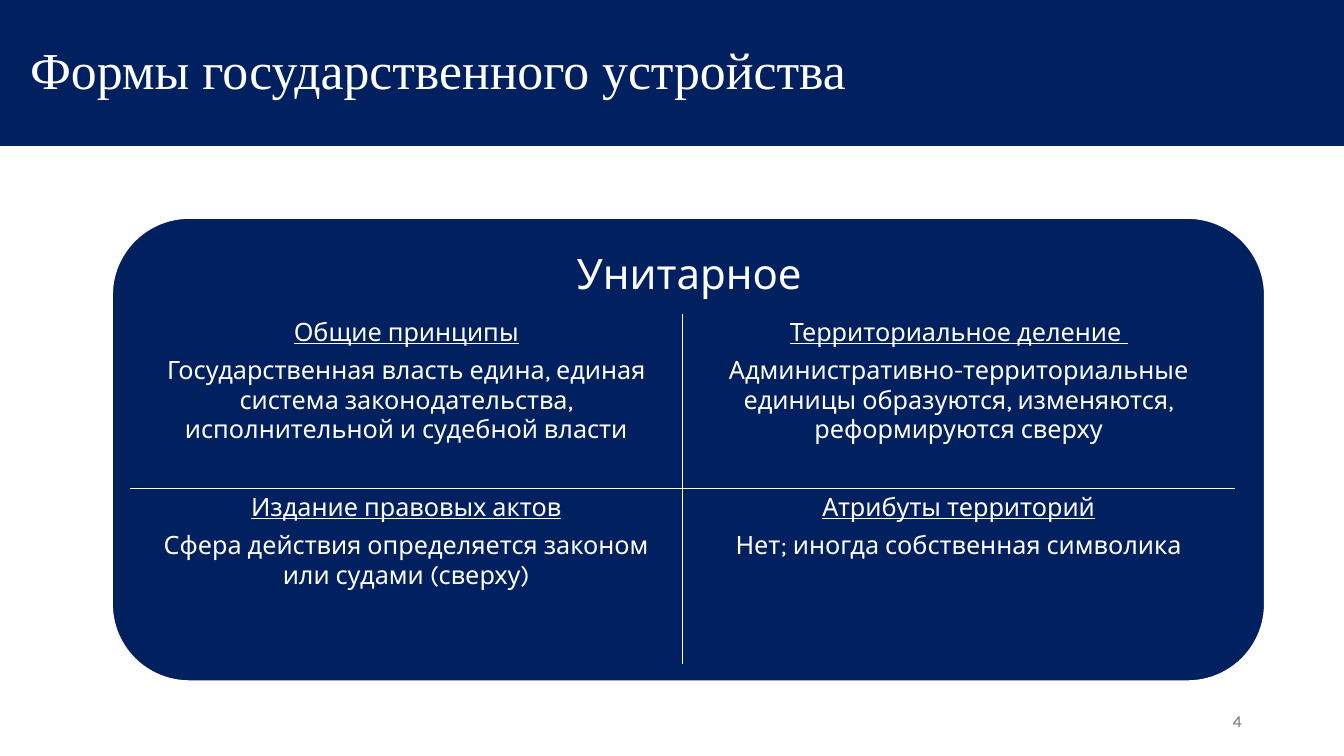
import dataclasses

import lxml.etree
import pptx
import pptx.dml.color
import pptx.enum.shapes
import pptx.enum.text
import pptx.oxml.ns
import pptx.util

Cm = pptx.util.Cm
Pt = pptx.util.Pt
RGBColor = pptx.dml.color.RGBColor
Align = pptx.enum.text.PP_ALIGN
Anchor = pptx.enum.text.MSO_ANCHOR
ShapeType = pptx.enum.shapes.MSO_SHAPE

NAVY = RGBColor(0x00, 0x20, 0x60)
WHITE = RGBColor(0xFF, 0xFF, 0xFF)
GRAY = RGBColor(0x79, 0x79, 0x79)
BODY_FONT = "Karla"
TITLE_FONT = "Times New Roman"
GRID_SIZE = 2


@dataclasses.dataclass(frozen=True)
class Box:
    """Position and size in centimetres."""
    left: float
    top: float
    width: float
    height: float

    def lengths(self) -> tuple:
        return tuple(Cm(value) for value in dataclasses.astuple(self))


@dataclasses.dataclass(frozen=True)
class Feature:
    heading: str
    description: str


FEATURES = [
    Feature("Общие принципы",
            "Государственная власть едина, единая система законодательства, "
            "исполнительной и судебной власти"),
    Feature("Территориальное деление ",
            "Административно-территориальные единицы образуются, изменяются, "
            "реформируются сверху"),
    Feature("Издание правовых актов",
            "Сфера действия определяется законом или судами (сверху)"),
    Feature("Атрибуты территорий", "Нет; иногда собственная символика"),
]


def write(paragraph, text: str, size: float, alignment, color: RGBColor = WHITE,
          font_name: str = BODY_FONT) -> None:
    paragraph.text = text
    paragraph.alignment = alignment
    paragraph.font.size = Pt(size)
    paragraph.font.name = font_name
    paragraph.font.color.rgb = color


def add_panel(slide, shape_type, box: Box):
    shape = slide.shapes.add_shape(shape_type, *box.lengths())
    shape.shadow.inherit = False
    shape.fill.solid()
    shape.fill.fore_color.rgb = NAVY
    shape.line.fill.background()
    return shape


def add_text_frame(slide, box: Box, anchor):
    text_frame = slide.shapes.add_textbox(*box.lengths()).text_frame
    text_frame.word_wrap = True
    text_frame.vertical_anchor = anchor
    return text_frame


def set_borders(cell, visible_sides: str) -> None:
    """Draw white borders on the given sides and hide the others."""
    properties = cell._tc.get_or_add_tcPr()
    qualified = pptx.oxml.ns.qn
    for side in "LRTB":
        border = lxml.etree.SubElement(properties, qualified(f"a:ln{side}"), w=str(Pt(1)))
        if side in visible_sides:
            fill = lxml.etree.SubElement(border, qualified("a:solidFill"))
            lxml.etree.SubElement(fill, qualified("a:srgbClr"), val=str(WHITE))
        else:
            lxml.etree.SubElement(border, qualified("a:noFill"))


def fill_cell(cell, feature: Feature) -> None:
    cell.fill.background()
    heading = cell.text_frame.paragraphs[0]
    description = cell.text_frame.add_paragraph()
    write(heading, feature.heading, 18, Align.CENTER)
    write(description, feature.description, 18, Align.CENTER)
    heading.font.underline = True
    for paragraph in (heading, description):
        paragraph.space_after = Pt(6)


def add_feature_table(slide, box: Box) -> None:
    table = slide.shapes.add_table(GRID_SIZE, GRID_SIZE, *box.lengths()).table
    table.first_row = False
    table.horz_banding = False
    for index, feature in enumerate(FEATURES):
        row, column = divmod(index, GRID_SIZE)
        cell = table.cell(row, column)
        set_borders(cell, "RL"[column] + "BT"[row])
        fill_cell(cell, feature)


def main() -> None:
    presentation = pptx.Presentation()
    presentation.slide_width = Cm(33.87)
    presentation.slide_height = Cm(19.05)
    slide = presentation.slides.add_slide(presentation.slide_layouts[6])

    # Slide number
    number_frame = add_text_frame(slide, Box(23.93, 17.65, 7.62, 1.02), Anchor.MIDDLE)
    write(number_frame.paragraphs[0], "4", 12, Align.RIGHT, GRAY)

    # Title band
    title_frame = add_panel(slide, ShapeType.RECTANGLE, Box(0, 0, 33.87, 3.68)).text_frame
    title_frame.word_wrap = True
    title_frame.vertical_anchor = Anchor.MIDDLE
    title_frame.margin_left = Cm(0.76)
    title = title_frame.paragraphs[0]
    write(title, "Формы государственного устройства", 37, Align.LEFT, font_name=TITLE_FONT)
    title.line_spacing = 0.9

    # Card with its heading
    card = add_panel(slide, ShapeType.ROUNDED_RECTANGLE, Box(2.82, 5.49, 29.06, 11.68))
    card.line.color.rgb = WHITE
    card.line.width = Pt(1.5)
    heading_frame = add_text_frame(slide, Box(3.4, 6.07, 27.94, 10.54), Anchor.TOP)
    heading_frame.margin_left = heading_frame.margin_right = Cm(0.3)
    heading_frame.margin_top = heading_frame.margin_bottom = Cm(0.3)
    heading = heading_frame.paragraphs[0]
    write(heading, "Унитарное", 30, Align.CENTER)
    heading.line_spacing = 0.9

    # Features in a two by two grid
    add_feature_table(slide, Box(3.28, 7.9, 27.84, 8.82))

    presentation.save("out.pptx")


if __name__ == "__main__":
    main()
